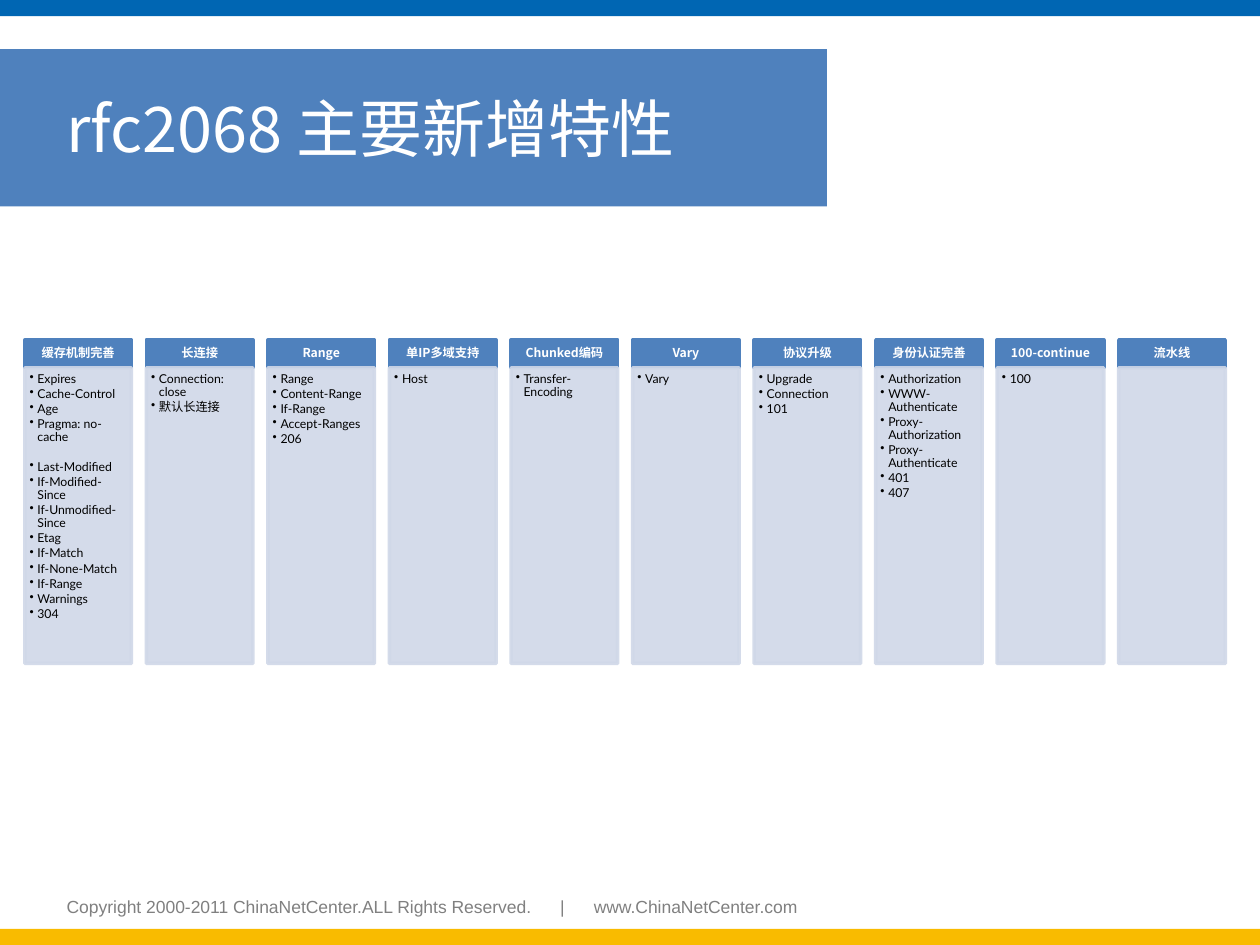
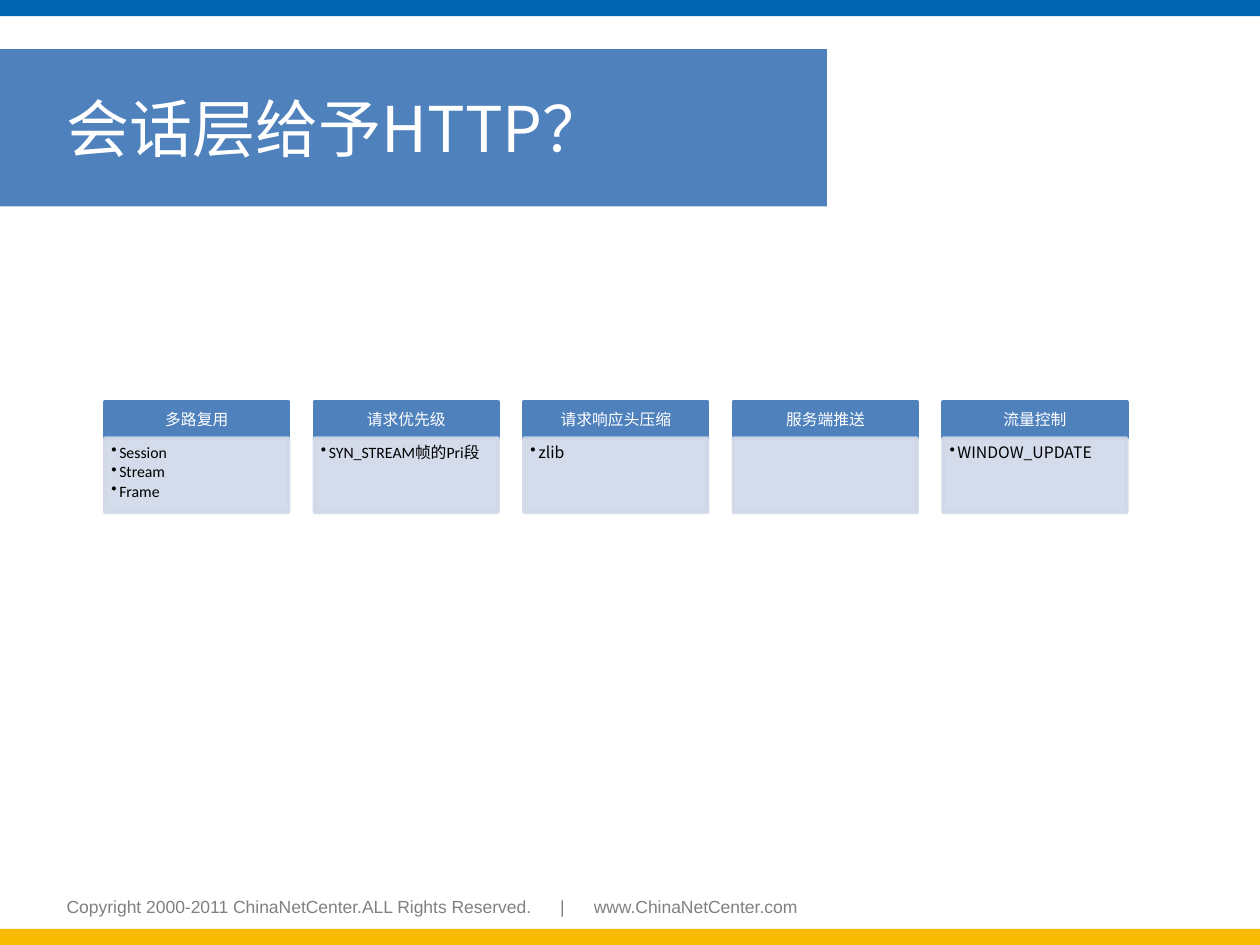
from dataclasses import dataclass

from lxml.etree import SubElement
from pptx import Presentation
from pptx.dml.color import RGBColor
from pptx.enum.shapes import MSO_SHAPE as Preset
from pptx.enum.text import MSO_ANCHOR as Anchor, MSO_AUTO_SIZE as AutoSize, PP_ALIGN as Align
from pptx.oxml.ns import qn
from pptx.util import Pt

TOP_BLUE = RGBColor(0x00, 0x66, 0xB3)
BOTTOM_GOLD = RGBColor(0xF9, 0xBB, 0x00)
HEADER_BLUE = RGBColor(0x4F, 0x81, 0xBD)
PALE_BLUE = RGBColor(0xD0, 0xD8, 0xE8)
FOOTER_GRAY = RGBColor(0x80, 0x80, 0x80)
WHITE = RGBColor(0xFF, 0xFF, 0xFF)
BLACK = RGBColor(0x00, 0x00, 0x00)

CJK = "Noto Sans CJK SC"
SLIDE_W, SLIDE_H = 720, 540
BAND_H = 9.2
GAP_RATIO = 0.14  # gap between columns, as a share of a column's width


@dataclass
class Box:
    left: float
    top: float
    width: float
    height: float

    def points(self):
        return Pt(self.left), Pt(self.top), Pt(self.width), Pt(self.height)


@dataclass
class ColumnStyle:
    size: float
    header_height: float
    pad: float
    bold: bool


def add_text(paragraph, text, font, size, color, bold=False):
    run = paragraph.add_run()
    run.text = text
    run.font.name = font
    run.font.size = Pt(size)
    run.font.bold = bold
    run.font.color.rgb = color
    SubElement(run.font._element, qn("a:ea"), typeface=CJK)


def set_insets(frame, left, top, right, bottom):
    frame.margin_left, frame.margin_top = Pt(left), Pt(top)
    frame.margin_right, frame.margin_bottom = Pt(right), Pt(bottom)


def add_panel(slide, box, color, outlined=True, opacity=100):
    panel = slide.shapes.add_shape(Preset.RECTANGLE, *box.points())
    panel.shadow.inherit = False
    panel.fill.solid()
    panel.fill.fore_color.rgb = color
    if outlined:
        panel.line.color.rgb = color
        panel.line.width = Pt(2)
    else:
        panel.line.fill.background()
    if opacity < 100:
        for tint in panel.element.spPr.iter(qn("a:srgbClr")):
            SubElement(tint, qn("a:alpha"), val=str(opacity * 1000))
    panel.text_frame.word_wrap = True
    return panel


def add_footer(slide, box):
    footer = slide.shapes.add_textbox(*box.points())
    footer.text_frame.word_wrap = True
    line = footer.text_frame.paragraphs[0]
    tabs = SubElement(line._p.get_or_add_pPr(), qn("a:tabLst"))
    for stop in (282, 301.2):
        SubElement(tabs, qn("a:tab"), pos=str(Pt(stop)), algn="l")
    add_text(line, "Copyright 2000-2011 ChinaNetCenter.ALL Rights Reserved.\t|\twww.ChinaNetCenter.com",
             "Arial", 10, FOOTER_GRAY)


def add_frame(slide):
    """Bands and footer that every slide carries."""
    add_panel(slide, Box(0, SLIDE_H - BAND_H, SLIDE_W, BAND_H), BOTTOM_GOLD, outlined=False)
    add_panel(slide, Box(0, 0, SLIDE_W, BAND_H), TOP_BLUE, outlined=False)
    add_footer(slide, Box(31, 508.3, 438.5, 31.7))


def add_title(slide, text, box):
    title = slide.shapes.title
    title.left, title.top, title.width, title.height = box.points()
    title.fill.solid()
    title.fill.fore_color.rgb = HEADER_BLUE
    frame = title.text_frame
    frame.auto_size = AutoSize.NONE
    frame.vertical_anchor = Anchor.MIDDLE
    set_insets(frame, 38, 3.6, 7.2, 3.6)
    heading = frame.paragraphs[0]
    heading.alignment = Align.LEFT
    add_text(heading, text, CJK, 36, WHITE)


def add_header(slide, box, text, style):
    frame = add_panel(slide, box, HEADER_BLUE).text_frame
    frame.vertical_anchor = Anchor.MIDDLE
    set_insets(frame, style.pad, style.pad * 0.57, style.pad, style.pad * 0.57)
    label = frame.paragraphs[0]
    label.alignment = Align.CENTER
    label.line_spacing = 0.9
    add_text(label, text, CJK, style.size, WHITE, style.bold)


def add_details(slide, box, groups, font, style):
    """Bulleted list; a wider gap parts one group of items from the next."""
    frame = add_panel(slide, box, PALE_BLUE, opacity=90).text_frame
    frame.vertical_anchor = Anchor.TOP
    pad = style.pad
    set_insets(frame, pad * 0.75, pad * 0.75, pad, pad * 1.13)
    item = None
    for group in groups:
        for position, text in enumerate(group):
            starts_group = item is not None and position == 0
            item = frame.paragraphs[0] if item is None else frame.add_paragraph()
            props = item._p.get_or_add_pPr()
            props.set("marL", str(Pt(4.5)))
            props.set("indent", str(-Pt(4.5)))
            SubElement(props, qn("a:buChar"), char="•")
            item.alignment = Align.LEFT
            item.line_spacing = 0.9
            item.space_after = Pt(style.size * 0.15)
            if starts_group:
                item.space_before = Pt(style.size * 1.23)
            add_text(item, text, font, style.size, BLACK)


def add_columns(slide, box, columns, style):
    width = box.width / (len(columns) + GAP_RATIO * (len(columns) - 1))
    for index, (header, font, *groups) in enumerate(columns):
        left = box.left + index * width * (1 + GAP_RATIO)
        add_header(slide, Box(left, box.top, width, style.header_height), header, style)
        add_details(slide, Box(left, box.top + style.header_height, width,
                               box.height - style.header_height), groups, font, style)


def add_column_slide(deck, title, box, columns, style):
    slide = deck.slides.add_slide(deck.slide_layouts[5])
    add_frame(slide)
    add_title(slide, title, Box(0, 28, 472.5, 90))
    add_columns(slide, box, columns, style)


# Each column: header, list font, then groups of items
RFC_FEATURES = [
    ("缓存机制完善", "Lato",
     ["Expires", "Cache-Control", "Age", "Pragma: no-cache"],
     ["Last-Modified", "If-Modified-Since", "If-Unmodified-Since", "Etag", "If-Match",
      "If-None-Match", "If-Range", "Warnings", "304"]),
    ("长连接", "Lato", ["Connection: close", "默认长连接"]),
    ("Range", "Lato", ["Range", "Content-Range", "If-Range", "Accept-Ranges", "206"]),
    ("单IP多域支持", "Lato", ["Host"]),
    ("Chunked编码", "Lato", ["Transfer-Encoding"]),
    ("Vary", "Lato", ["Vary"]),
    ("协议升级", "Lato", ["Upgrade", "Connection", "101"]),
    ("身份认证完善", "Lato",
     ["Authorization", "WWW-Authenticate", "Proxy-Authorization", "Proxy-Authenticate",
      "401", "407"]),
    ("100-continue", "Lato", ["100"]),
    ("流水线", "Lato"),
]
SESSION_FEATURES = [
    ("多路复用", "Calibri", ["Session", "Stream", "Frame"]),
    ("请求优先级", "Calibri", ["SYN_STREAM帧的Pri段"]),
    ("请求响应头压缩", CJK, ["zlib"]),
    ("服务端推送", CJK),
    ("流量控制", CJK, ["WINDOW_UPDATE"]),
]


def main():
    deck = Presentation()
    deck.slide_width, deck.slide_height = Pt(SLIDE_W), Pt(SLIDE_H)
    add_column_slide(deck, "rfc2068 主要新增特性", Box(14.2, 194.2, 686, 185), RFC_FEATURES,
                     ColumnStyle(size=7, header_height=16, pad=3.6, bold=True))
    add_column_slide(deck, "会话层给予HTTP？", Box(59.9, 229.8, 584, 63), SESSION_FEATURES,
                     ColumnStyle(size=9, header_height=20.5, pad=5, bold=False))
    deck.save("out.pptx")


if __name__ == "__main__":
    main()
